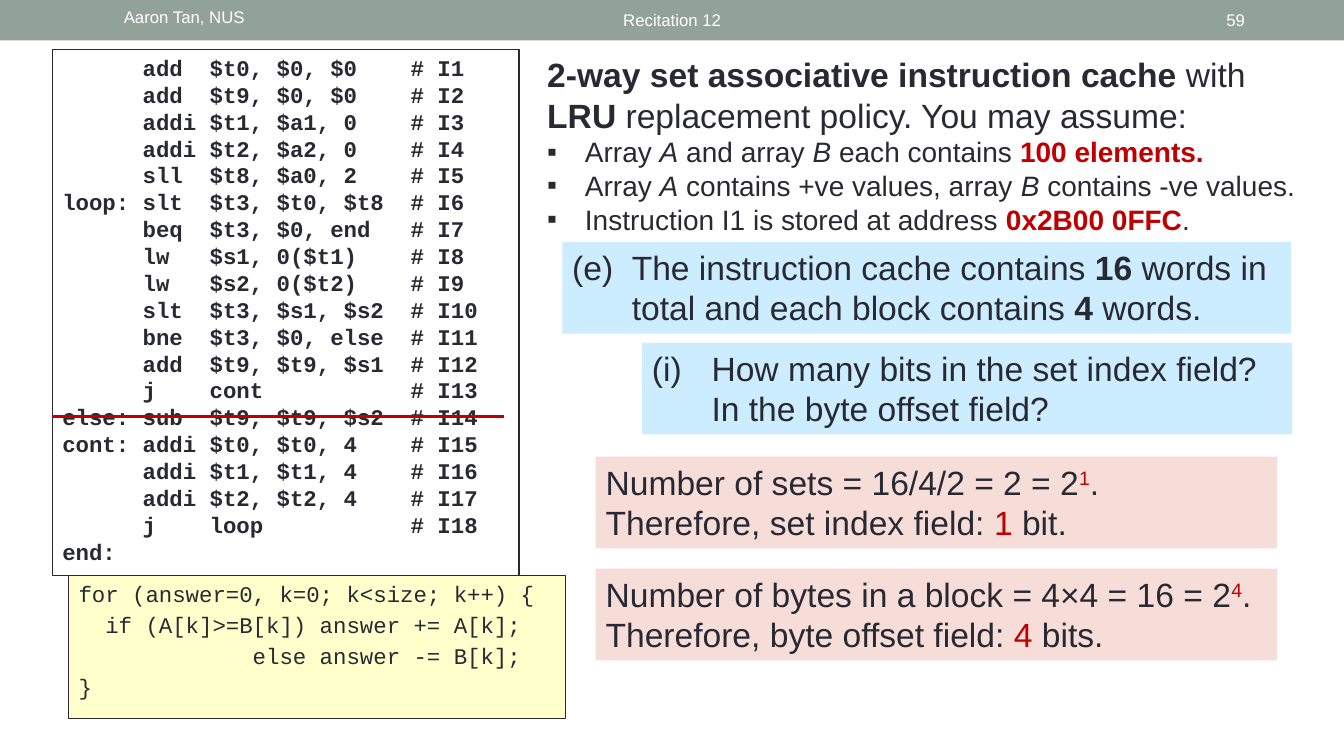
from lxml import etree
from pptx import Presentation, util as u
from pptx.dml.color import RGBColor
from pptx.enum import shapes, text
from pptx.oxml.ns import qn

INK = RGBColor(0x29, 0x29, 0x34)
RED = RGBColor(0xC0, 0x00, 0x00)
WHITE = RGBColor(0xFF, 0xFF, 0xFF)
SAGE = RGBColor(0x93, 0xA2, 0x99)
BLUE = RGBColor(0xCC, 0xEC, 0xFF)
PINK = RGBColor(0xF6, 0xDD, 0xD8)
CREAM = RGBColor(0xFF, 0xFF, 0xCC)
SANS, MONO = "Arial", "Courier New"
LEFT, MID, RIGHT = text.PP_ALIGN.LEFT, text.PP_ALIGN.CENTER, text.PP_ALIGN.RIGHT
TOP, MIDDLE = text.MSO_ANCHOR.TOP, text.MSO_ANCHOR.MIDDLE

ASM = """\
      add  $t0, $0, $0    # I1
      add  $t9, $0, $0    # I2
      addi $t1, $a1, 0    # I3
      addi $t2, $a2, 0    # I4
      sll  $t8, $a0, 2    # I5
loop: slt  $t3, $t0, $t8  # I6
      beq  $t3, $0, end   # I7
      lw   $s1, 0($t1)    # I8
      lw   $s2, 0($t2)    # I9
      slt  $t3, $s1, $s2  # I10
      bne  $t3, $0, else  # I11
      add  $t9, $t9, $s1  # I12
      j    cont           # I13
else: sub  $t9, $t9, $s2  # I14
cont: addi $t0, $t0, 4    # I15
      addi $t1, $t1, 4    # I16
      addi $t2, $t2, 4    # I17
      j    loop           # I18
end:"""

LOOP = """\
for (answer=0, k=0; k<size; k++) {
  if (A[k]>=B[k]) answer += A[k];
             else answer -= B[k];
}"""


class Deck:
    """Style and current slide; lengths are in centimetres."""

    def __init__(self):
        self.prs = Presentation()
        self.prs.slide_width, self.prs.slide_height = u.Inches(13.333), u.Inches(7.5)
        self.slide = self.prs.slides.add_slide(self.prs.slide_layouts[6])

    def box(self, x, y, w, h, fill=None, line=None):
        """Rectangle with optional fill and outline."""
        box = self.slide.shapes.add_shape(
            shapes.MSO_SHAPE.RECTANGLE, u.Cm(x), u.Cm(y), u.Cm(w), u.Cm(h))
        box.shadow.inherit = False
        if fill is None:
            box.fill.background()
        else:
            box.fill.solid()
            box.fill.fore_color.rgb = fill
        if line is None:
            box.line.fill.background()
        else:
            box.line.color.rgb = line
            box.line.width = u.Pt(0.75)
        return self.frame(box)

    def area(self, x, y, w, h, anchor=TOP):
        """Plain text box."""
        return self.frame(self.slide.shapes.add_textbox(
            u.Cm(x), u.Cm(y), u.Cm(w), u.Cm(h)), anchor)

    def frame(self, shape, anchor=TOP):
        frame = shape.text_frame
        frame.word_wrap = True
        frame.vertical_anchor = anchor
        return frame

    def para(self, frame, runs, size=24, font=SANS, color=INK,
             align=LEFT, hang=0, bullet=None, after=0):
        """Add a paragraph of (text, marks); marks: b, i, r = red, s = superscript."""
        para = frame.paragraphs[0]
        if para.runs:
            para = frame.add_paragraph()
        para.alignment = align
        para.space_after = u.Pt(after)
        if hang:
            props = para._p.get_or_add_pPr()
            props.set("marL", str(u.Cm(hang)))
            props.set("indent", str(-u.Cm(hang)))
            if bullet:
                etree.SubElement(props, qn("a:buFont")).set("typeface", SANS)
                etree.SubElement(props, qn("a:buChar")).set("char", bullet)
        for words, marks in runs:
            run = para.add_run()
            run.text = words
            run.font.name, run.font.size = font, u.Pt(size)
            run.font.bold, run.font.italic = "b" in marks, "i" in marks
            run.font.color.rgb = RED if "r" in marks else color
            if "s" in marks:
                run._r.get_or_add_rPr().set("baseline", "30000")

    def code(self, frame, lines, marks="", after=0):
        """One monospaced paragraph per line of code."""
        for line in lines.split("\n"):
            self.para(frame, [(line, marks)], 16, MONO, after=after)

    def rule(self, x, y, end):
        """Level red line."""
        rule = self.slide.shapes.add_connector(
            shapes.MSO_CONNECTOR.STRAIGHT, u.Cm(x), u.Cm(y), u.Cm(end), u.Cm(y))
        rule.line.color.rgb = RED
        rule.line.width = u.Pt(2.25)
        etree.SubElement(rule._element.spPr, qn("a:effectLst"))


def main():
    deck = Deck()

    # Header band
    deck.box(0, 0, 33.87, 1.02, SAGE)
    for x, w, label, align, anchor in (
            (7.68, 18.52, "Recitation 12", MID, MIDDLE),
            (2.87, 8.05, "Aaron Tan, NUS", LEFT, TOP),
            (29.21, 2.41, "59", RIGHT, MIDDLE)):
        deck.para(deck.area(x, 0.05, w, 0.91, anchor), [(label, "")],
                  12, color=WHITE, align=align)

    # Assembly listing
    deck.code(deck.box(1.32, 1.24, 11.76, 13.26, line=INK), ASM, "b")

    # Assumptions
    facts = deck.area(13.54, 1.24, 19.38, 4.88)
    deck.para(facts, [("2-way set associative instruction cache ", "b"), ("with ", ""),
                      ("LRU", "b"), (" replacement policy. You may assume:", "")])
    for runs in (
            [("Array ", ""), ("A", "i"), (" and array ", ""), ("B", "i"),
             (" each contains ", ""), ("100 elements.", "br")],
            [("Array ", ""), ("A", "i"), (" contains +ve values, array ", ""),
             ("B", "i"), (" contains -ve values.", "")],
            [("Instruction I1 is stored at address ", ""),
             ("0x2B00 0FFC", "br"), (".", "")]):
        deck.para(facts, runs, 20, hang=0.95, bullet="▪")

    # Questions
    for x, y, w, runs in (
            (14.17, 6.1, 18.36, [
                ("(e)\tThe instruction cache contains ", ""), ("16 ", "b"),
                ("words in total and each block contains ", ""),
                ("4", "b"), (" words.", "")]),
            (16.18, 8.64, 16.38, [
                ("(i)\tHow many bits in the set index field? "
                 "In the byte offset field?", "")])):
        deck.para(deck.box(x, y, w, 2.31, BLUE), runs, hang=1.5)

    # Answers
    for y, sum_, power, field, bits, unit in (
            (11.51, "Number of sets = 16/4/2 = 2 = 2", "1", "set index", "1", " bit."),
            (14.33, "Number of bytes in a block = 4×4 = 16 = 2", "4",
             "byte offset", "4", " bits.")):
        answer = deck.box(15.01, y, 17.17, 2.31, PINK)
        deck.para(answer, [(sum_, ""), (power, "rs"), (".", "")])
        deck.para(answer, [(f"Therefore, {field} field: ", ""), (bits, "r"), (unit, "")])

    # Block boundary and source loop
    deck.rule(1.32, 10.49, 12.7)
    deck.code(deck.box(1.73, 14.5, 12.52, 3.61, CREAM, INK), LOOP, after=3)

    deck.prs.save("out.pptx")


if __name__ == "__main__":
    main()
